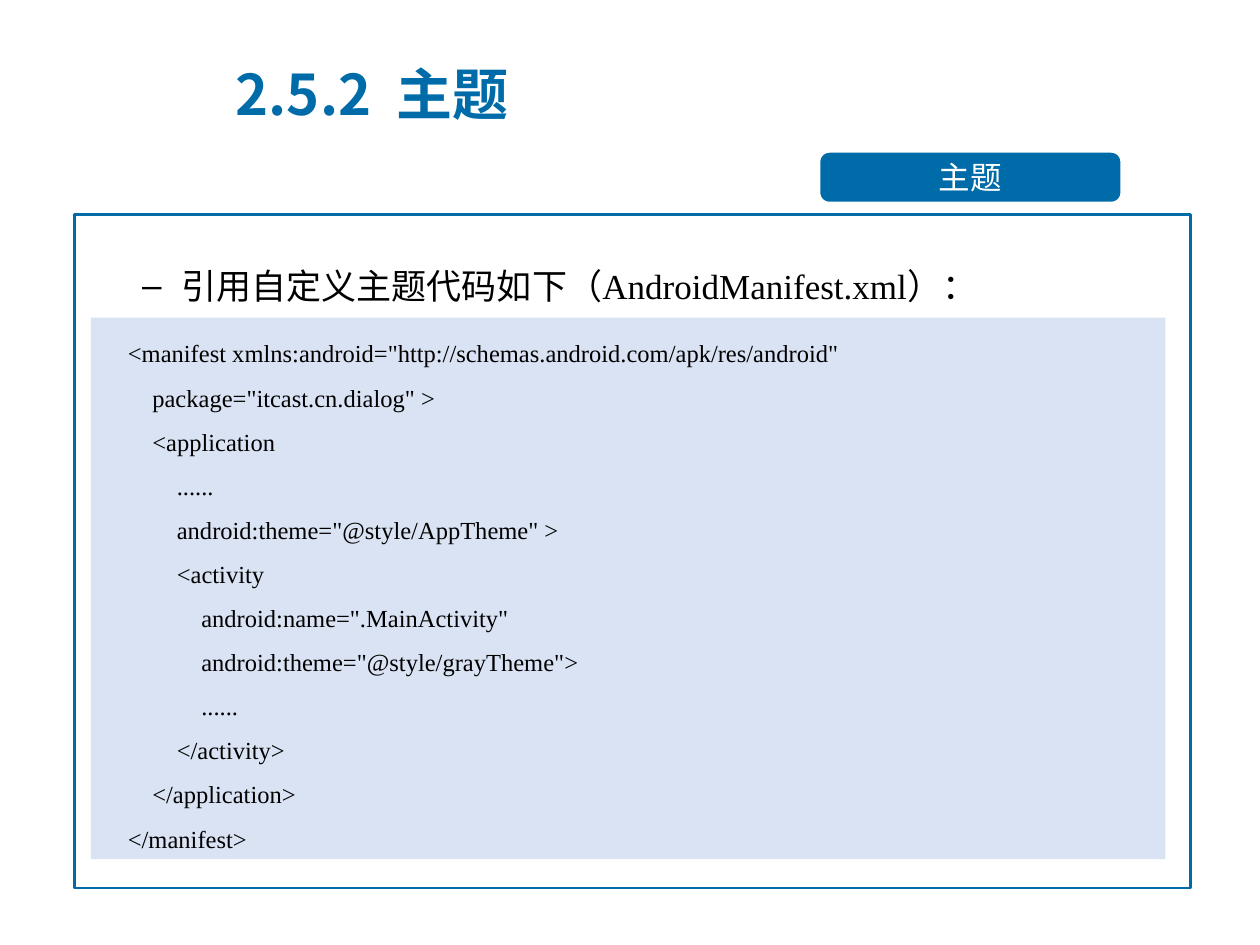
from dataclasses import dataclass

from lxml import etree
from pptx import Presentation
from pptx.dml.color import RGBColor
from pptx.enum.shapes import MSO_SHAPE
from pptx.enum.text import MSO_ANCHOR, MSO_AUTO_SIZE, PP_ALIGN
from pptx.oxml.ns import qn
from pptx.util import Pt

RECTANGLE, ROUNDED = MSO_SHAPE.RECTANGLE, MSO_SHAPE.ROUNDED_RECTANGLE
TOP, MIDDLE = MSO_ANCHOR.TOP, MSO_ANCHOR.MIDDLE
LEFT, CENTER = PP_ALIGN.LEFT, PP_ALIGN.CENTER
NO_FIT = MSO_AUTO_SIZE.NONE
TITLE_AND_CONTENT = 1


@dataclass(frozen=True)
class Theme:
    blue: RGBColor = RGBColor(0x00, 0x6B, 0xA9)
    pale: RGBColor = RGBColor(0xDA, 0xE3, 0xF3)
    white: RGBColor = RGBColor(0xFF, 0xFF, 0xFF)
    black: RGBColor = RGBColor(0x00, 0x00, 0x00)
    sans: str = "Noto Sans CJK SC"
    serif: str = "Times New Roman"
    title_size: int = 32
    body_size: int = 20
    tag_size: int = 18
    code_size: int = 14


theme = Theme()

CODE = """\
    <manifest xmlns:android="http://schemas.android.com/apk/res/android"
        package="itcast.cn.dialog" >
        <application
            ......
            android:theme="@style/AppTheme" >
            <activity
                android:name=".MainActivity"
                android:theme="@style/grayTheme">
                ......
            </activity>
        </application>
    </manifest>"""


def write_text(shape, lines, frame_format, paragraph_format, font_name, size, color, bold=False, hanging=None):
    """Fill a shape with one paragraph per line; hanging is (left margin, first indent)."""
    frame = shape.text_frame
    for name, value in {"word_wrap": True, "auto_size": NO_FIT, **frame_format}.items():
        setattr(frame, name, value)
    for index, line in enumerate(lines):
        paragraph = frame.add_paragraph() if index else frame.paragraphs[0]
        for name, value in {"space_before": Pt(0), **paragraph_format}.items():
            setattr(paragraph, name, value)
        if hanging:
            properties = paragraph._p.get_or_add_pPr()
            for name, value in zip(("marL", "indent"), hanging):
                properties.set(name, str(Pt(value)))
        run = paragraph.add_run()
        run.text = line
        for name, value in {"name": font_name, "size": Pt(size), "bold": bold}.items():
            setattr(run.font, name, value)
        run.font.color.rgb = color
        east_asian = etree.SubElement(run._r.get_or_add_rPr(), qn("a:ea"))
        east_asian.set("typeface", theme.sans)


def add_box(kind, bounds, fill=None, line=None):
    shape = slide.shapes.add_shape(kind, *map(Pt, bounds))
    shape.shadow.inherit = False
    if fill is None:
        shape.fill.background()
    else:
        shape.fill.solid()
        shape.fill.fore_color.rgb = fill
    if line is None:
        shape.line.fill.background()
    else:
        shape.line.color.rgb = line
        shape.line.width = Pt(1.5)
    return shape


presentation = Presentation()
presentation.slide_width, presentation.slide_height = Pt(720), Pt(540)
slide = presentation.slides.add_slide(presentation.slide_layouts[TITLE_AND_CONTENT])

title, body = slide.shapes.title, slide.placeholders[1]
for placeholder, bounds in ((title, (127.5, 31.5, 556, 44)), (body, (38, 135.5, 628, 44))):
    for name, value in zip(("left", "top", "width", "height"), bounds):
        setattr(placeholder, name, Pt(value))

write_text(title, ["2.5.2  主题"], {"vertical_anchor": MIDDLE}, {"alignment": LEFT},
           theme.sans, theme.title_size, theme.blue, bold=True, hanging=(45, -45))
write_text(body, ["引用自定义主题代码如下（AndroidManifest.xml）："], {"vertical_anchor": TOP},
           {"level": 1, "line_spacing": 1.5},
           theme.serif, theme.body_size, theme.black, hanging=(58.5, -22.5))

add_box(RECTANGLE, (42.5, 122.5, 638, 385), line=theme.blue)

tag = add_box(ROUNDED, (468, 86.5, 173, 29.5), fill=theme.blue, line=theme.white)
tag.adjustments[0] = 0.2
write_text(tag, ["主题"], {"vertical_anchor": MIDDLE, "margin_top": Pt(4), "margin_bottom": Pt(4)},
           {"alignment": CENTER}, theme.sans, theme.tag_size, theme.white)

code_panel = add_box(RECTANGLE, (52, 181.5, 614, 309.5), fill=theme.pale)
write_text(code_panel, CODE.splitlines(), {"vertical_anchor": TOP},
           {"alignment": LEFT, "line_spacing": 1.5}, theme.serif, theme.code_size, theme.black)

presentation.save("out.pptx")
